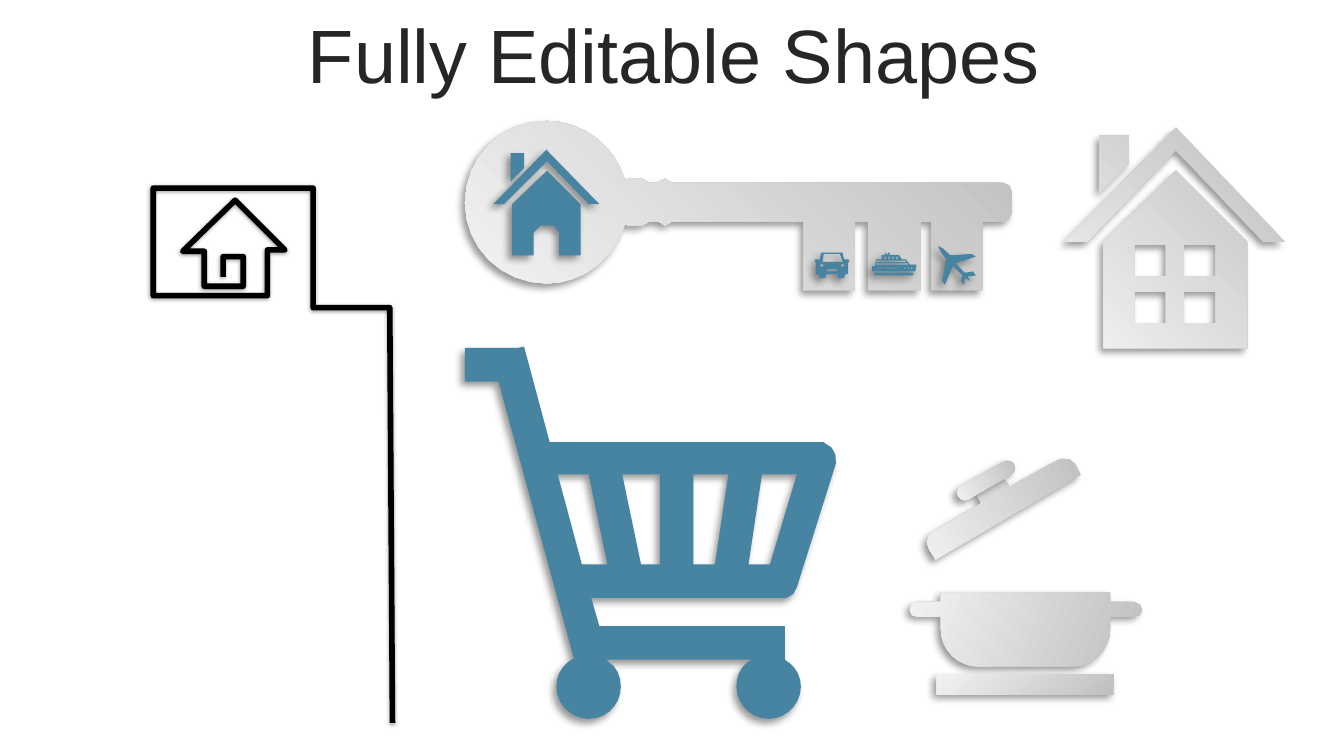
"""Build the editable shapes slide with its house, key, cart and pot."""
from dataclasses import dataclass
from math import cos, dist, radians, sin

from lxml.etree import SubElement
from pptx import Presentation
from pptx.dml.color import RGBColor as Rgb
from pptx.enum.shapes import MSO_SHAPE as Preset
from pptx.enum.text import MSO_ANCHOR as Anchor, PP_ALIGN as Align
from pptx.oxml.ns import qn
from pptx.util import Cm, Pt


@dataclass(frozen=True)
class Theme:
    font: str = "Arial"
    title_size: float = 40.5
    title: str = "262626"
    accent: str = "4784A1"
    outline: str = "000000"
    silver: tuple = ("BFBFBF", "F2F2F2")
    shadow: str = "000000"
    shadow_alpha: int = 40
    line_width: int = 3


UNIT = Cm(0.0254)
FINE = 100
CHORD = 5
MOST_CHORDS = 8


def assign(target, formats):
    for name, value in formats.items():
        setattr(target, name, value)


def point(token):
    x, y = token.split(",")
    return float(x), float(y)


def bezier(a, b, c, d, t):
    s = 1 - t
    return tuple(s**3 * p + 3 * s * s * t * q + 3 * s * t * t * r + t**3 * e
                 for p, q, r, e in zip(a, b, c, d))


def trace(contour):
    points, tokens = [], iter(contour.split())
    for token in tokens:
        if token == "C":
            bend = [points[-1]] + [point(next(tokens)) for _ in range(3)]
            steps = min(MOST_CHORDS, max(1, round(dist(bend[0], bend[3]) / CHORD)))
            points += [bezier(*bend, step / steps) for step in range(1, steps + 1)]
        else:
            points.append(point(token))
    return points


def turned(spot, centre, degrees):
    angle = radians(degrees)
    dx, dy = spot[0] - centre[0], spot[1] - centre[1]
    return (centre[0] + dx * cos(angle) - dy * sin(angle),
            centre[1] + dx * sin(angle) + dy * cos(angle))


def box(left, top, right, bottom):
    return f"{left},{top} {left},{bottom} {right},{bottom} {right},{top}"


class ShapeSlide:
    def __init__(self, deck, theme):
        self.theme = theme
        self.slide = deck.slides.add_slide(deck.slide_layouts[5])
        self.shapes = self.slide.shapes

    def title(self, text, left, top, width, height):
        heading = self.slide.shapes.title
        assign(heading, dict(left=Cm(left), top=Cm(top), width=Cm(width), height=Cm(height)))
        assign(heading.text_frame, dict(text=text, vertical_anchor=Anchor.MIDDLE, word_wrap=True))
        line = heading.text_frame.paragraphs[0]
        assign(line, dict(alignment=Align.CENTER, space_before=Pt(8)))
        font = line.runs[0].font
        assign(font, dict(name=self.theme.font, size=Pt(self.theme.title_size)))
        font.color.rgb = Rgb.from_string(self.theme.title)

    def group(self):
        self.shapes = self.slide.shapes.add_group_shape().shapes

    def ungroup(self):
        self.shapes = self.slide.shapes

    def paint(self, shape, angle=None):
        if angle is None:
            shape.fill.solid()
            shape.fill.fore_color.rgb = Rgb.from_string(self.theme.accent)
        else:
            shape.fill.gradient()
            shape.fill.gradient_angle = (360 - angle) % 360
            for stop, tint, position in zip(shape.fill.gradient_stops, self.theme.silver, (0, 1)):
                stop.color.rgb = Rgb.from_string(tint)
                stop.position = position
        shape.line.fill.background()
        self.cast_shadow(shape)

    def cast_shadow(self, shape, blur=4, distance=3):
        shape.shadow.inherit = False
        effects = shape._element.spPr.find(qn("a:effectLst"))
        outer = SubElement(effects, qn("a:outerShdw"), blurRad=str(Pt(blur)), dist=str(Pt(distance)),
                           dir="8100000", algn="tr", rotWithShape="0")
        tint = SubElement(outer, qn("a:srgbClr"), val=self.theme.shadow)
        SubElement(tint, qn("a:alpha"), val=str(self.theme.shadow_alpha * 1000))

    def outline(self, contours, close=True, turn=0, centre=(0, 0)):
        builder = None
        for contour in contours:
            spots = [turned(spot, centre, -turn) for spot in trace(contour)]
            first, *rest = [(x * FINE, y * FINE) for x, y in spots]
            if builder is None:
                builder = self.shapes.build_freeform(*first, scale=UNIT / FINE)
            else:
                builder.move_to(*first)
            builder.add_line_segments(rest, close=close)
        shape = builder.convert_to_shape()
        shape.rotation = turn
        return shape

    def silhouette(self, contours, angle=None, **placing):
        self.paint(self.outline(contours, **placing), angle)

    def stroke(self, contour):
        shape = self.outline([contour], close=False)
        shape.fill.background()
        shape.line.color.rgb = Rgb.from_string(self.theme.outline)
        shape.line.width = Pt(self.theme.line_width)
        self.cast_shadow(shape, 2, 1)

    def bar(self, preset, left, top, width, height, angle, turn=0):
        shape = self.shapes.add_shape(preset, Cm(left), Cm(top), Cm(width), Cm(height))
        shape.rotation = turn
        if preset == Preset.ROUNDED_RECTANGLE:
            shape.adjustments[0] = 0.5
        self.paint(shape, angle)


HOUSE_LINE = ("166,206 166,191 181,191 181,213 152,213 152,187 136,187 175,149 212,186 199,186 "
              "199,220 114,220 114,140 233,140 233,229 290,229 292,538")
CART = ["438,353 452,420 433,420 415,353", "491,353 491,420 477,420 463,353",
        "542,353 532,420 516,420 516,353", "593,353 573,420 557,420 567,353",
        "390,258 385,259 346,259 346,284 371,284 427,490 C 419,494 414,502 414,511 "
        "C 414,524 425,535 438,535 C 452,535 462,524 462,511 C 462,503 459,496 452,492 452,491 "
        "559,491 C 552,495 548,502 548,511 C 548,524 559,535 572,535 C 585,535 596,524 596,511 "
        "C 596,502 591,495 584,491 584,466 446,466 440,445 578,445 C 585,447 592,443 593,437 "
        "622,345 C 623,338 620,332 614,330 613,329 609,329 409,329"]
TEETH = " ".join(f"{right},165 {right},216 {left},216 {left},165"
                 for right, left in ((731, 693), (685, 646), (636, 598)))
KEY = ["407,90 C 434,90 458,109 465,134 C 465,134 466,133 468,133 478,133 C 480,133 482,135 483,136 "
       "490,136 C 491,135 493,133 495,133 C 497,133 499,135 500,136 746,136 C 750,136 753,139 753,143 "
       f"753,158 C 753,162 750,165 746,165 {TEETH} 500,165 C 499,167 497,168 495,168 "
       "C 493,168 491,167 490,165 483,165 C 482,167 480,168 478,168 468,168 C 466,168 465,168 465,167 "
       "C 458,192 434,211 407,211 C 373,211 346,184 346,151 C 346,117 373,90 407,90"]
KEY_HOUSE = ["407,127 432,152 432,190 416,190 416,173 C 416,170 414,168 412,168 402,168 "
             "C 399,168 397,170 397,173 397,190 381,190 381,152", "380,114 390,114 390,125 380,135",
             "407,112 446,152 438,152 407,120", "407,111 407,120 375,152 367,152"]
SHIP = ["650,203 680,203 679,205 651,205",
        *[box(x, 199, x + 1, 200) for x in (653, 655, 657.5, 660, 662, 664, 666, 673, 675.5, 678)],
        box(652, 196, 675.5, 197), box(652, 194, 674, 195),
        *[box(x, 191, x + 1, 193) for x in range(658, 668, 3)],
        "661,188 662,188 662,190 669,190 671,193 674,193 677,197 682,197 681,202 "
        "649,202 649,198 651,198 652,193 656,193 656,190 658,190 659,188 660,190"]
PLANE = ["726,205 720,206 722,209 718,207 717,212 715,209 716,205 "
         "709,198 703,212 701,209 704,193 C 702,190 697,184 698,183 C 699,182 704,187 707,190 723,189 "
         "726,191 711,196 718,203 724,202"]
LAMPS = [f"{x},196 {x - 1.5},197.5 {x},199 {x + 1.5},197.5" for x in (611.5, 627)]
CAR = ["616,200 615,201 616,202 623,202 623,200", *LAMPS, "613,189 612,195 627,195 625,189",
       "611,188 627,188 628,193 631,193 632,194 631,196 631,204 629,204 628,207 624,207 623,204 "
       "615,204 614,207 610,207 609,204 607,204 607,196 606,194 607,193 610,193"]
POT = ["700,441 826,441 826,448 844,448 C 847,448 850,451 850,454 C 850,457 847,459 844,459 826,459 "
       "826,468 C 826,484 813,496 798,496 728,496 C 713,496 700,484 700,468 700,459 683,459 "
       "C 679,459 677,457 677,454 C 677,451 679,448 683,448 700,448"]
LID = ["790,341 C 794,340 798,342 800,345 804,353 696,416 691,408 "
       "C 688,403 690,398 695,395 730,374 727,369 728,365 744,356 "
       "748,357 751,362 787,342"]
WINDOWS = [box(x, y, x + 23.5, y + 23.5) for y in (217, 182) for x in (881, 844)]
HOUSE = [*WINDOWS, "875,127 928,180 928,259 821,259 821,180", "818,101 840,101 840,122 818,144",
         "875,95 956,180 940,180 875,112", "875,95 875,112 809,180 792,180"]


def main():
    deck = Presentation()
    assign(deck, dict(slide_width=Cm(25.4), slide_height=Cm(14.29)))
    page = ShapeSlide(deck, Theme())
    page.title("Fully Editable Shapes", 0.69, 0.25, 24.1, 1.5)
    page.stroke(HOUSE_LINE)
    page.silhouette(CART)
    page.group()
    page.silhouette(KEY, angle=135)
    for icon in (KEY_HOUSE, SHIP, PLANE, CAR):
        page.silhouette(icon)
    page.group()
    page.silhouette(POT, angle=20, turn=180, centre=(763.5, 468.5))
    page.bar(Preset.RECTANGLE, 17.7, 12.75, 3.35, 0.38, angle=230)
    page.silhouette(LID, angle=180, turn=330, centre=(742.5, 373))
    page.bar(Preset.ROUNDED_RECTANGLE, 18.03, 8.94, 1.22, 0.28, angle=180, turn=330)
    page.ungroup()
    page.silhouette(HOUSE, angle=135)
    deck.save("out.pptx")


if __name__ == "__main__":
    main()
